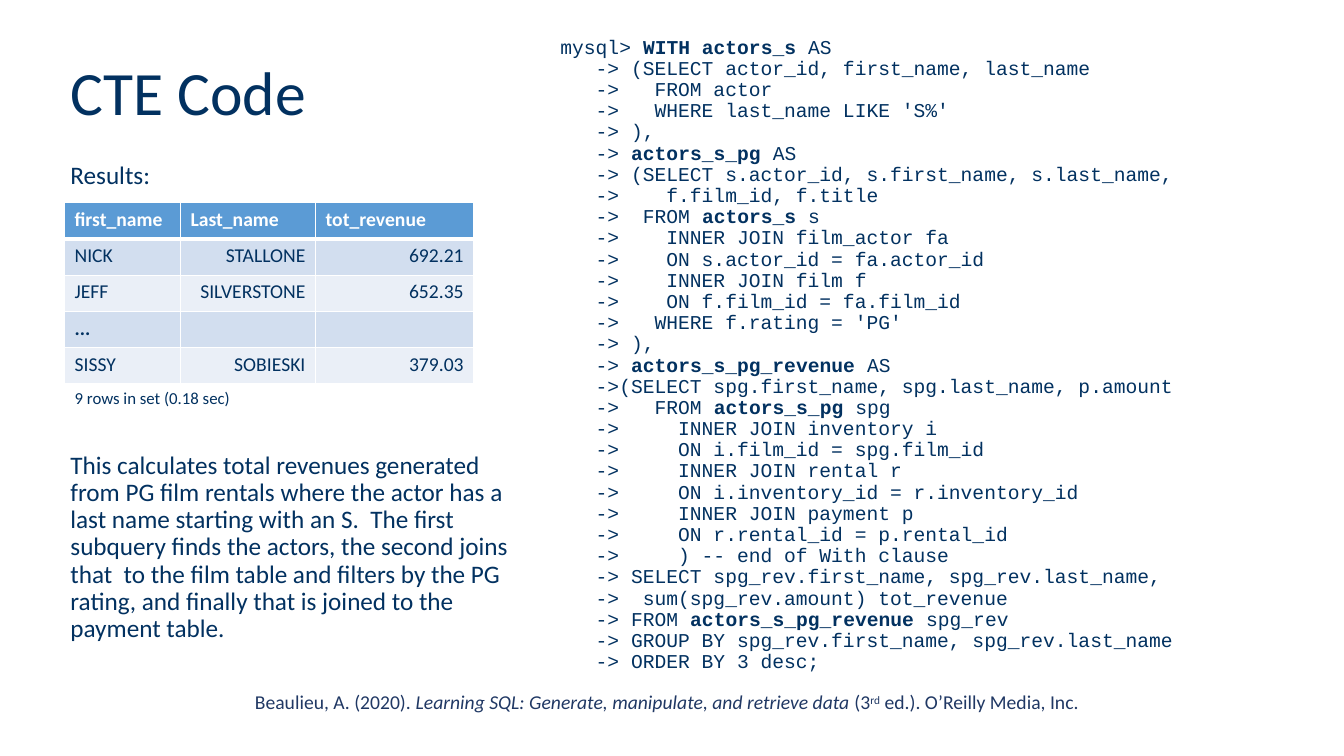
"""Build the CTE Code slide with its query, result table and explanation."""
from dataclasses import dataclass

import pptx
import pptx.dml.color
import pptx.enum.text
import pptx.oxml
import pptx.oxml.ns
import pptx.util
from pptx.util import Inches

NAVY = pptx.dml.color.RGBColor(0x02, 0x31, 0x60)
CITATION_BLUE = pptx.dml.color.RGBColor(0x20, 0x38, 0x64)
HEADER_BLUE = pptx.dml.color.RGBColor(0x5B, 0x9B, 0xD5)
BAND_DARK = pptx.dml.color.RGBColor(0xD2, 0xDE, 0xEF)
BAND_LIGHT = pptx.dml.color.RGBColor(0xEA, 0xEF, 0xF7)
WHITE = pptx.dml.color.RGBColor(0xFF, 0xFF, 0xFF)

LEFT = pptx.enum.text.PP_ALIGN.LEFT
RIGHT = pptx.enum.text.PP_ALIGN.RIGHT
TOP = pptx.enum.text.MSO_ANCHOR.TOP
MIDDLE = pptx.enum.text.MSO_ANCHOR.MIDDLE

FIRST_PROMPT = "mysql> "
NEXT_PROMPT = "   ->"
QUERY_LINES = [
    "**WITH actors_s** AS",
    " (SELECT actor_id, first_name, last_name",
    "   FROM actor",
    "   WHERE last_name LIKE 'S%'",
    " ),",
    " **actors_s_pg** AS",
    " (SELECT s.actor_id, s.first_name, s.last_name,",
    "    f.film_id, f.title",
    "  FROM **actors_s** s",
    "    INNER JOIN film_actor fa",
    "    ON s.actor_id = fa.actor_id",
    "    INNER JOIN film f",
    "    ON f.film_id = fa.film_id",
    "   WHERE f.rating = 'PG'",
    " ),",
    " **actors_s_pg_revenue** AS",
    "(SELECT spg.first_name, spg.last_name, p.amount",
    "   FROM **actors_s_pg** spg",
    "     INNER JOIN inventory i",
    "     ON i.film_id = spg.film_id",
    "     INNER JOIN rental r",
    "     ON i.inventory_id = r.inventory_id",
    "     INNER JOIN payment p",
    "     ON r.rental_id = p.rental_id",
    "     ) -- end of With clause",
    " SELECT spg_rev.first_name, spg_rev.last_name,",
    "  sum(spg_rev.amount) tot_revenue",
    " FROM **actors_s_pg_revenue** spg_rev",
    " GROUP BY spg_rev.first_name, spg_rev.last_name",
    " ORDER BY 3 desc;",
]

EXPLANATION = (
    "This calculates total revenues generated from PG film rentals where the "
    "actor has a last name starting with an S.  The first subquery finds the "
    "actors, the second joins that  to the film table and filters by the PG "
    "rating, and finally that is joined to the payment table."
)

RESULTS = [
    ("first_name", "Last_name", "tot_revenue"),
    ("NICK", "STALLONE", "692.21"),
    ("JEFF", "SILVERSTONE", "652.35"),
    ("...", "", ""),
    ("SISSY", "SOBIESKI", "379.03"),
    ("9 rows in set (0.18 sec)", "", ""),
]
COLUMN_WIDTHS = (1.15, 1.34, 1.57)
ROW_HEIGHTS = (0.36, 0.36, 0.36, 0.36, 0.36, 0.32)
ROW_FILLS = (HEADER_BLUE, BAND_DARK, BAND_LIGHT, BAND_DARK, BAND_LIGHT, WHITE)


@dataclass(frozen=True)
class Passage:
    left: float
    top: float
    width: float
    height: float
    text: str


def apply_format(font: pptx.text.text.Font, size: float, color=NAVY, **extras) -> None:
    settings = {"name": "Calibri", "size": pptx.util.Pt(size), **extras}
    for attribute, value in settings.items():
        setattr(font, attribute, value)
    font.color.rgb = color


def add_passage(slide: pptx.slide.Slide, passage: Passage):
    box = slide.shapes.add_textbox(
        Inches(passage.left), Inches(passage.top),
        Inches(passage.width), Inches(passage.height),
    )
    box.text_frame.word_wrap = True
    paragraph = box.text_frame.paragraphs[0]
    if passage.text:
        paragraph.line_spacing = 0.9
        run = paragraph.add_run()
        run.text = passage.text
        apply_format(run.font, 18)
    return box


def add_citation(slide: pptx.slide.Slide) -> None:
    citation = add_passage(slide, Passage(2.43, 6.8, 8.46, 0.34, ""))
    pieces = [
        ("Beaulieu, A. (2020). ", False, 0),
        ("Learning SQL: Generate, manipulate, and retrieve data", True, 0),
        (" (3", False, 0),
        ("rd", False, 30000),
        (" ed.). O’Reilly Media, Inc.", False, 0),
    ]
    for words, italic, baseline in pieces:
        run = citation.text_frame.paragraphs[0].add_run()
        run.text = words
        apply_format(run.font, 14, CITATION_BLUE, italic=italic)
        if baseline:
            run._r.get_or_add_rPr().set("baseline", str(baseline))


def add_title(slide: pptx.slide.Slide) -> None:
    title = slide.shapes.title
    bounds = {"left": 0.6, "top": 0.4, "width": 11.81, "height": 1.09}
    for attribute, value in bounds.items():
        setattr(title, attribute, Inches(value))
    title.text_frame.text = "CTE Code"
    title.text_frame.vertical_anchor = MIDDLE
    heading = title.text_frame.paragraphs[0]
    heading.alignment = LEFT
    heading.line_spacing = 0.9
    apply_format(heading.runs[0].font, 44)


def add_query(slide: pptx.slide.Slide) -> None:
    query = add_passage(slide, Passage(5.46, 0.32, 7.62, 6.47, ""))
    query.fill.solid()
    query.fill.fore_color.rgb = WHITE
    code = query.text_frame.paragraphs[0]
    code.line_spacing = 0.9
    for number, line in enumerate(QUERY_LINES):
        if number:
            code.add_line_break()
        prompt = NEXT_PROMPT if number else FIRST_PROMPT
        for index, words in enumerate((prompt + line).split("**")):
            if words:
                run = code.add_run()
                run.text = words
                apply_format(run.font, 14, name="Courier New", bold=index % 2 == 1)


def add_borders(cell, row: int) -> None:
    widths = {"L": 1, "R": 1, "T": 3 if row == 1 else 1, "B": 3 if row == 0 else 1}
    properties = cell._tc.get_or_add_tcPr()
    for side, width in widths.items():
        properties.append(pptx.oxml.parse_xml(
            f'<a:ln{side} {pptx.oxml.ns.nsdecls("a")} w="{width * 12700}">'
            f'<a:solidFill><a:srgbClr val="{WHITE}"/></a:solidFill></a:ln{side}>'
        ))


def add_results(slide: pptx.slide.Slide) -> None:
    results = slide.shapes.add_table(
        len(RESULTS), len(COLUMN_WIDTHS), Inches(0.64), Inches(2.01),
        Inches(sum(COLUMN_WIDTHS)), Inches(sum(ROW_HEIGHTS)),
    ).table
    for column, width in zip(results.columns, COLUMN_WIDTHS):
        column.width = Inches(width)
    summary = len(RESULTS) - 1
    for row, entries in enumerate(RESULTS):
        results.rows[row].height = Inches(ROW_HEIGHTS[row])
        for column, entry in enumerate(entries):
            cell = results.cell(row, column)
            add_borders(cell, row)
            cell.fill.solid()
            cell.fill.fore_color.rgb = ROW_FILLS[row]
            cell.vertical_anchor = TOP
            cell.text = entry
            paragraph = cell.text_frame.paragraphs[0]
            paragraph.alignment = RIGHT if row and column else LEFT
            apply_format(
                paragraph.font, 12 if row == summary else 14,
                NAVY if row else WHITE, bold=row == 0 or entry == "...",
            )
    results.cell(summary, 0).merge(results.cell(summary, 1))


def main() -> None:
    deck = pptx.Presentation()
    deck.slide_width, deck.slide_height = Inches(13.33), Inches(7.5)
    slide = deck.slides.add_slide(deck.slide_layouts[5])
    add_title(slide)
    add_citation(slide)
    add_query(slide)
    add_passage(slide, Passage(0.6, 1.57, 4.68, 0.4, "Results:"))
    add_passage(slide, Passage(0.6, 4.44, 4.68, 2.3, EXPLANATION))
    add_results(slide)
    deck.save("out.pptx")


if __name__ == "__main__":
    main()
